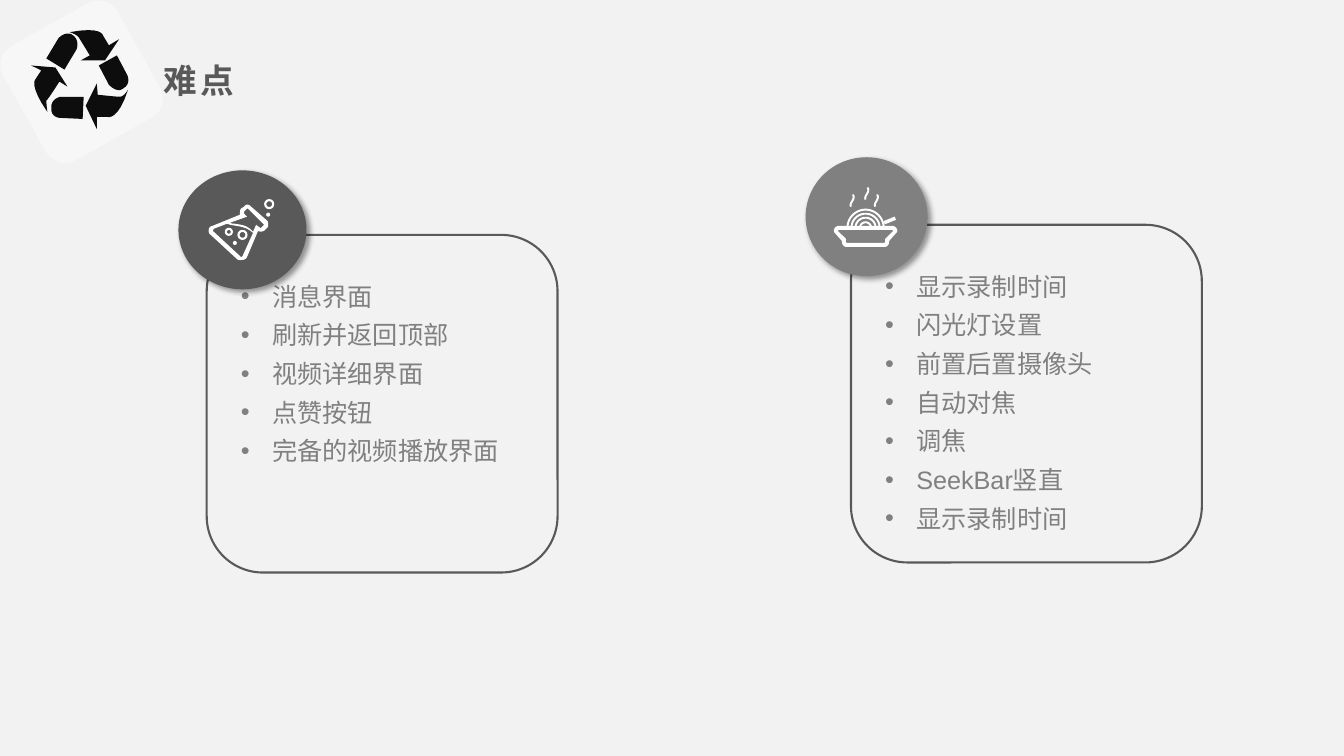
from math import cos, sin, radians
from lxml.etree import SubElement as Sub
from pptx import Presentation
from pptx.dml.color import RGBColor
from pptx.enum.lang import MSO_LANGUAGE_ID as Lang
from pptx.enum.shapes import MSO_SHAPE as Kind
from pptx.oxml.ns import qn
from pptx.util import Inches, Pt

WIDE, HIGH = 1333, 750
CELL = Inches(0.01)
PAPER, DARK, GRAY, INK, WHITE = "F2F2F2", "595959", "808080", "0D0D0D", "FFFFFF"
FONT = "Arial"

TITLE = "难点"
CARDS = [
    ((844, 223), (799, 156, 121, 118), GRAY,
     ["显示录制时间", "闪光灯设置", "前置后置摄像头", "自动对焦", "调焦", "SeekBar竖直", "显示录制时间"]),
    ((205, 233), (177, 169, 127, 118), DARK,
     ["消息界面", "刷新并返回顶部", "视频详细界面", "点赞按钮", "完备的视频播放界面"]),
]
CARD = (348, 335)

RECYCLE = [
    [(69, 32), (69, 32, 76, 34, 78, 37), (80, 40, 89, 55, 89, 55), (80, 60),
     (104, 60), (118, 39), (108, 45), (102, 35), (102, 35, 101, 26, 69, 32)],
    [(64, 69), (46, 58), (58, 38), (58, 38, 64, 31, 71, 34), (80, 39, 76, 49, 76, 49)],
    [(127, 89), (127, 89, 123, 96, 119, 96), (115, 96, 97, 94, 97, 94), (96, 83),
     (85, 105), (96, 128), (96, 116), (107, 116), (107, 116, 117, 120, 127, 89)],
    [(98, 65), (116, 55), (126, 74), (126, 74, 131, 83, 122, 88), (116, 93, 108, 84, 108, 84)],
    [(47, 111), (47, 111, 46, 102, 46, 100), (49, 97, 59, 81, 59, 81), (67, 86),
     (55, 67), (31, 65), (41, 70), (35, 79), (35, 79, 29, 85, 47, 111)],
    [(83, 96), (82, 118), (60, 117), (60, 117, 50, 117, 51, 107), (50, 98, 60, 96, 60, 96)],
]
FLASK = [
    [(249, 205), (248, 204, 247, 203, 245, 203), (244, 203, 243, 204, 242, 205), (239, 207),
     (238, 208, 238, 210, 238, 213), (211, 224), (209, 224, 207, 226, 207, 228),
     (207, 230, 207, 232, 209, 233), (235, 257), (236, 258, 237, 258, 239, 258),
     (242, 258, 244, 257, 245, 255), (256, 229), (257, 230, 260, 230, 262, 229), (265, 226),
     (266, 225, 266, 224, 266, 223), (266, 222, 266, 220, 265, 219)],
    [(262, 223), (259, 226), (258, 226), (254, 223), (251, 230), (245, 223, 239, 223, 233, 222),
     (232, 222, 230, 222, 228, 221), (245, 215), (242, 212), (242, 210), (245, 207), (246, 207)],
    [(241, 253), (241, 254, 240, 255, 239, 255), (238, 254), (212, 230), (211, 229), (212, 227),
     (225, 222), (233, 225, 242, 223, 251, 231)],
]
RINGS = [(240.5, 233, 8), (267, 202.5, 8), (227, 230, 6)]
DOTS = [(233, 241, 4), (266, 213, 4)]
BOWL = [
    [(832, 224), (830, 224, 827, 226, 827, 229), (827, 230, 828, 231, 828, 231), (835, 239),
     (835, 243, 837, 245, 840, 245), (877, 245), (880, 245, 882, 243, 882, 239), (889, 231),
     (889, 231, 890, 230, 890, 229), (890, 226, 887, 224, 885, 224)],
    [(832, 228), (831, 229), (839, 237), (839, 240), (840, 241), (877, 241), (878, 240),
     (878, 237), (886, 229), (885, 228)],
]
NOODLE = (858.5, 226)
RADII = [18, 14, 10, 5.5]
STICK = [(877, 221), (888, 216.5)]
STEAM = [(844, 193), (868, 193), (858.5, 186)]
WISP = [(2, 0), (5, 5, -2, 8, 0, 12)]


def color(code):
    return RGBColor.from_string(code)


def trace(steps):
    pts = []
    for s in steps:
        if len(s) == 2:
            pts.append(s)
            continue
        a, b, c, d = pts[-1], s[:2], s[2:4], s[4:]
        for t in (i / 8 for i in range(1, 9)):
            u = 1 - t
            pts.append(tuple(u**3 * a[k] + 3 * u*u*t * b[k] + 3 * u*t*t * c[k] + t**3 * d[k]
                             for k in (0, 1)))
    return [(x * CELL, y * CELL) for x, y in pts]


def paint(shape, fill=None, line=None, width=1.5):
    shape.shadow.inherit = False
    if fill:
        shape.fill.solid()
        shape.fill.fore_color.rgb = color(fill)
    else:
        shape.fill.background()
    if line:
        shape.line.color.rgb = color(line)
        shape.line.width = Pt(width)
    else:
        shape.line.fill.background()
    return shape


def place(kind, box, *look):
    return paint(page.shapes.add_shape(kind, *(round(v * CELL) for v in box)), *look)


def draw(loops, fill):
    first, *rest = [trace(loop) for loop in loops]
    pen = page.shapes.build_freeform(*first[0], scale=1)
    pen.add_line_segments(first[1:], close=True)
    for pts in rest:
        pen.move_to(*pts[0])
        pen.add_line_segments(pts[1:], close=True)
    paint(pen.convert_to_shape(), fill)


def stroke(steps, width):
    pts = trace(steps)
    pen = page.shapes.build_freeform(*pts[0], scale=1)
    pen.add_line_segments(pts[1:], close=False)
    paint(pen.convert_to_shape(), None, WHITE, width)


def fade(node, share):
    Sub(node, qn("a:alpha"), val=str(share * 1000))


def shade(shape):
    glow = Sub(shape.shadow._element.find(qn("a:effectLst")), qn("a:outerShdw"), blurRad=str(Pt(4)),
               dist=str(Pt(3)), dir=str(45 * 60000), algn="tl", rotWithShape="0")
    fade(Sub(glow, qn("a:srgbClr"), val="000000"), 40)


def write(box, lines, size, ink, bold=False, bullet=False):
    frame = page.shapes.add_textbox(*(v * CELL for v in box)).text_frame
    frame.word_wrap = True
    for i, line in enumerate(lines):
        para = frame.add_paragraph() if i else frame.paragraphs[0]
        if bullet:
            props = para._p.get_or_add_pPr()
            props.set("marL", str(31 * CELL))
            props.set("indent", str(-31 * CELL))
            para.space_after = Pt(6)
            Sub(props, qn("a:buFont"), typeface=FONT)
            Sub(props, qn("a:buChar"), char="•")
        run = para.add_run()
        run.text = line
        font = run.font
        font.name, font.size, font.bold = FONT, Pt(size), bold
        font.color.rgb = color(ink)
        font.language_id = Lang.SIMPLIFIED_CHINESE
        if bold:
            run._r.get_or_add_rPr().set("spc", "300")


deck = Presentation()
deck.slide_width, deck.slide_height = WIDE * CELL, HIGH * CELL
page = deck.slides.add_slide(deck.slide_layouts[6])
page.background.fill.solid()
page.background.fill.fore_color.rgb = color(PAPER)

write((152, 55, 355, 50), [TITLE], 24, DARK, bold=True)
tile = place(Kind.ROUNDED_RECTANGLE, (16, 16, 130, 130), WHITE)
tile.rotation = 240.7
fade(tile.fill._xPr.find(qn("a:solidFill"))[0], 40)
for part in RECYCLE:
    draw([part], INK)

for (x, y), disc, tint, lines in CARDS:
    place(Kind.ROUNDED_RECTANGLE, (x, y, *CARD), None, DARK)
    write((x + 24, y + 41, 300, 16 + 42 * len(lines)), lines, 18, GRAY, bullet=True)
    shade(place(Kind.OVAL, disc, tint))

draw(FLASK, WHITE)
for marks, look in ((RINGS, (None, WHITE)), (DOTS, (WHITE,))):
    for x, y, d in marks:
        place(Kind.OVAL, (x - d / 2, y - d / 2, d, d), *look)

draw(BOWL, WHITE)
for r in RADII:
    stroke([(NOODLE[0] + r * cos(radians(a)), NOODLE[1] + r * sin(radians(a)))
            for a in range(185, 356, 10)], 1.4)
stroke(STICK, 2.5)
for x, y in STEAM:
    stroke([tuple(v + (y if k % 2 else x) for k, v in enumerate(step)) for step in WISP], 1.4)

deck.save("out.pptx")
